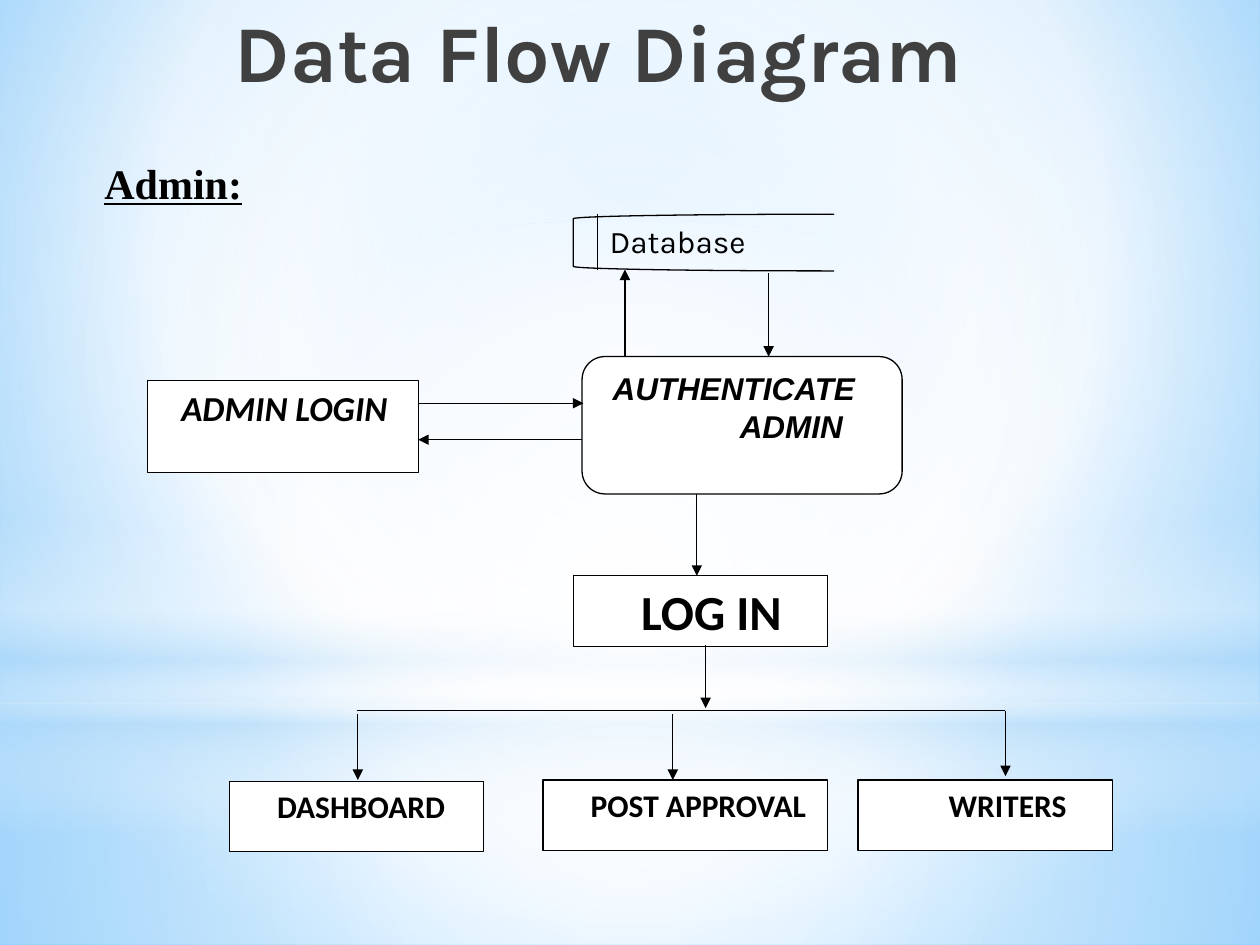
from dataclasses import dataclass
from lxml.etree import SubElement
from pptx import Presentation
from pptx.dml.color import RGBColor as RGB
from pptx.enum.shapes import MSO_CONNECTOR as LINE, MSO_SHAPE as SHAPE
from pptx.enum.text import MSO_ANCHOR as ANCHOR, PP_ALIGN as ALIGN
from pptx.oxml.ns import qn
from pptx.util import Inches, Pt


@dataclass(frozen=True)
class Theme:
    ink: str = "000000"
    title: str = "404040"
    paper: str = "FFFFFF"
    haze: str = "B4DCFA"
    sky: str = "9ED5FF"
    deep: str = "5BB9FF"
    body: str = "Calibri"
    head: str = "Karla"
    title_size: int = 46
    big: int = 28
    label: int = 24
    login: int = 20
    small: int = 18
    stroke: float = 0.75


class Diagram:
    COLS, ROWS = 100, 75

    def __init__(self, prs, theme):
        self.prs, self.theme = prs, theme
        self.s = prs.slides.add_slide(prs.slide_layouts[6])

    def grid(self, x, y, *size):
        col = self.prs.slide_width / self.COLS
        row = self.prs.slide_height / self.ROWS
        return [round(v * (row if i % 2 else col))
                for i, v in enumerate((x, y, *size))]

    def gradient(self, props, stops, focus=None):
        old = props.find(qn("a:solidFill"))
        grad = SubElement(props, qn("a:gradFill"), rotWithShape="1")
        props.replace(old, grad)
        gs_list = SubElement(grad, qn("a:gsLst"))
        for pos, color, alpha in stops:
            gs = SubElement(gs_list, qn("a:gs"), pos=str(pos * 1000))
            clr = SubElement(gs, qn("a:srgbClr"), val=color)
            if alpha < 100:
                SubElement(clr, qn("a:alpha"), val=str(alpha * 1000))
        if focus:
            shade = SubElement(grad, qn("a:path"), path="circle")
            sides = {k: str(v * 1000) for k, v in zip("ltrb", focus)}
            SubElement(shade, qn("a:fillToRect"), **sides)
        else:
            SubElement(grad, qn("a:lin"), ang="5400000", scaled="0")

    def backdrop(self, stops, focus):
        self.s.background.fill.solid()
        self.gradient(self.s.element.find(".//" + qn("p:bgPr")), stops, focus)

    def glow(self, at, stops, focus=None, kind=SHAPE.RECTANGLE):
        sp = self.s.shapes.add_shape(kind, *self.grid(*at))
        sp.shadow.inherit = False
        sp.fill.solid()
        sp.line.fill.background()
        self.gradient(sp.element.spPr, stops, focus)

    def label(self, sp, lines, anchor=ANCHOR.TOP, align=ALIGN.LEFT,
              color=None, **fmt):
        tf = sp.text_frame
        tf.word_wrap, tf.vertical_anchor = True, anchor
        style = {"name": self.theme.body, **fmt}
        style["size"] = Pt(style["size"])
        for i, (text, indent) in enumerate(lines):
            p = tf.paragraphs[0] if i == 0 else tf.add_paragraph()
            p.alignment = align
            if indent:
                p._p.get_or_add_pPr().set("marL", str(Inches(indent)))
            r = p.add_run()
            r.text = text
            for key, value in style.items():
                setattr(r.font, key, value)
            r.font.color.rgb = RGB.from_string(color or self.theme.ink)

    def text(self, at, text, **fmt):
        sp = self.s.shapes.add_textbox(*self.grid(*at))
        self.label(sp, [(text, 0)], **fmt)

    def outline(self, sp):
        sp.line.color.rgb = RGB.from_string(self.theme.ink)
        sp.line.width = Pt(self.theme.stroke)

    def box(self, at, lines, kind=SHAPE.RECTANGLE, **fmt):
        sp = self.s.shapes.add_shape(kind, *self.grid(*at))
        sp.shadow.inherit = False
        sp.fill.solid()
        sp.fill.fore_color.rgb = RGB.from_string(self.theme.paper)
        self.outline(sp)
        self.label(sp, lines, bold=True, **fmt)

    def bracket(self, at):
        sp = self.s.shapes.add_shape(SHAPE.LEFT_BRACKET, *self.grid(*at))
        sp.shadow.inherit = False
        sp.fill.background()
        sp.adjustments[0] = 0.08
        self.outline(sp)

    def line(self, start, end, arrow=True):
        c = self.s.shapes.add_connector(
            LINE.STRAIGHT, *self.grid(*start), *self.grid(*end))
        self.outline(c)
        props = c.element.spPr
        if arrow:
            SubElement(props.find(qn("a:ln")), qn("a:tailEnd"),
                       type="triangle")
        SubElement(props, qn("a:effectLst"))


def main():
    prs = Presentation()
    prs.slide_width, prs.slide_height = Inches(10), Inches(7.5)
    t = Theme()
    d = Diagram(prs, t)
    center = (50, 50, 50, 50)

    d.backdrop([(0, t.sky, 100), (60, t.paper, 100), (100, t.deep, 100)],
               (20, 10, 20, 60))
    d.glow((0, 55.8, 100, 19.2),
           [(0, t.paper, 91), (37, t.paper, 76), (100, t.haze, 79)], center)
    d.glow((0, 0, 100, 55.8),
           [(0, t.paper, 89), (48, t.paper, 62), (100, t.haze, 79)], center)
    d.glow((0, 41.2, 100, 25),
           [(0, t.paper, 0), (29, t.paper, 30), (45, t.haze, 40),
            (55, t.paper, 26), (65, t.haze, 60), (100, t.paper, 0)])
    d.glow((0, 17.5, 100, 55.8), [(0, t.paper, 100), (56, t.paper, 0)],
           center, SHAPE.OVAL)

    d.text((11.9, -0.3, 71.2, 12.5), "Data Flow Diagram", align=ALIGN.CENTER,
           name=t.head, size=t.title_size, bold=True, color=t.title)
    d.text((7.3, 9.6, 14.4, 7.4), "Admin:", anchor=ANCHOR.BOTTOM,
           name="Times New Roman", size=t.label, bold=True, underline=True)

    d.box((11.7, 30.2, 21.5, 7.3), [("ADMIN LOGIN", 0.17)],
          size=t.login, italic=True)
    d.box((46.2, 28.3, 25.4, 10.9), [("AUTHENTICATE", 0.09), ("ADMIN", 1.1)],
          SHAPE.ROUNDED_RECTANGLE, name="Arial", size=t.small, italic=True)
    d.box((45.5, 45.7, 20.2, 5.6), [("LOG IN", 0.44)], size=t.big)
    for x, y, width, label, indent in (
            (18.2, 62, 20.2, "DASHBOARD", 0.28),
            (43.1, 61.9, 22.6, "POST APPROVAL", 0.28),
            (68.1, 61.9, 20.2, "WRITERS", 0.62)):
        d.box((x, y, width, 5.6), [(label, indent)], size=t.small)

    d.bracket((45.5, 17, 20.7, 4.5))
    d.text((47.4, 17.1, 17.6, 4), "Database", name=t.head, size=t.small)

    for start, end in (
            ((61, 21.7), (61, 28.3)), ((49.6, 28.3), (49.6, 21.4)),
            ((33.2, 32), (46.3, 32)), ((46.2, 34.9), (33.2, 34.9)),
            ((55.3, 39.2), (55.3, 45.7)), ((56, 51.2), (56, 56.2)),
            ((28.4, 56.7), (28.4, 61.9)), ((53.4, 56.7), (53.4, 61.9)),
            ((79.8, 56.4), (79.8, 61.6))):
        d.line(start, end)
    d.line((28.3, 56.4), (79.8, 56.4), arrow=False)
    d.line((47.4, 17), (47.4, 21.4), arrow=False)

    prs.save("out.pptx")


if __name__ == "__main__":
    main()
